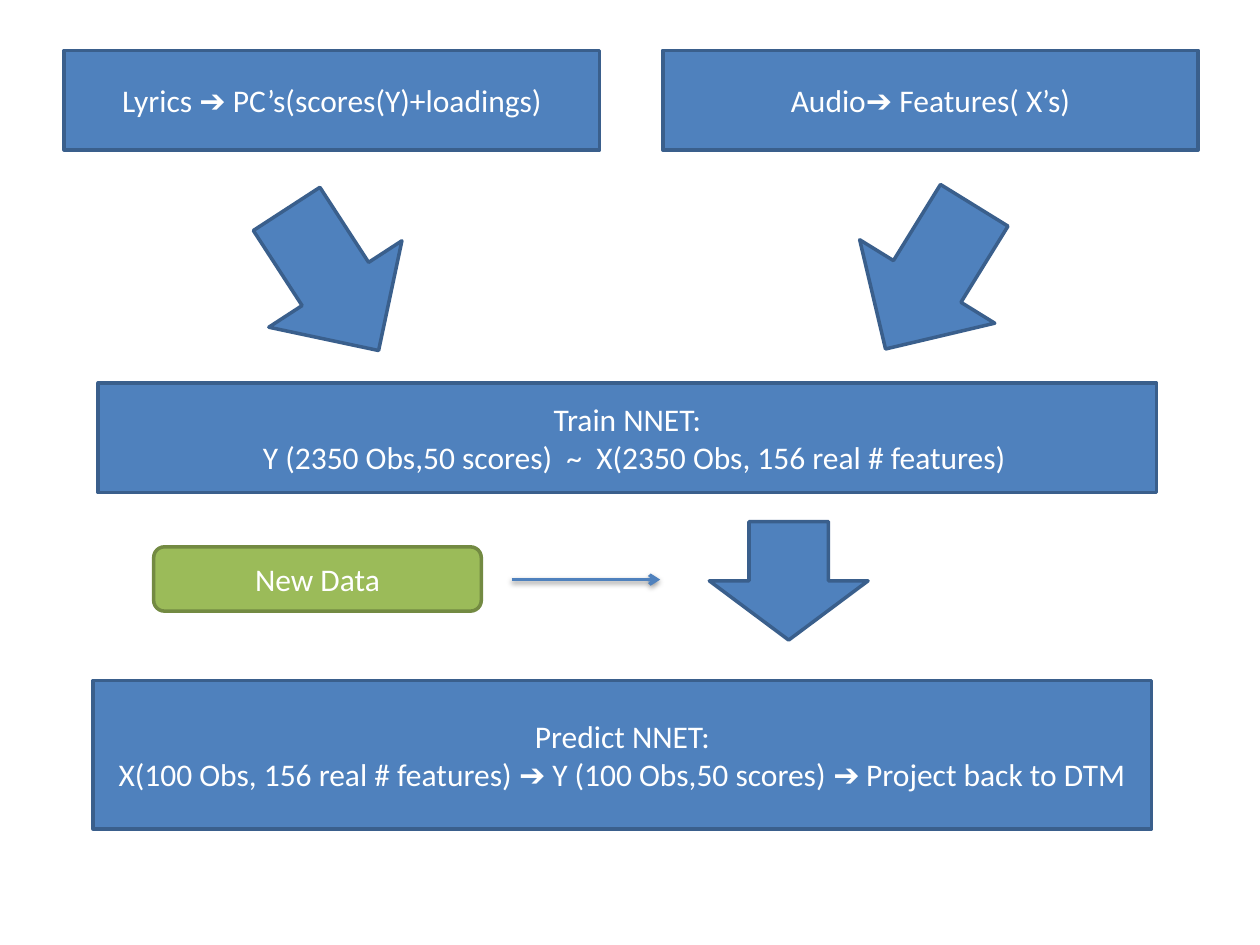
from dataclasses import dataclass

from lxml.etree import SubElement
from pptx import Presentation
from pptx.dml.color import RGBColor
from pptx.enum.shapes import MSO_CONNECTOR, MSO_SHAPE
from pptx.enum.text import MSO_ANCHOR, PP_ALIGN
from pptx.oxml.ns import qn
from pptx.util import Inches, Pt


@dataclass(frozen=True)
class Theme:
    blue: RGBColor = RGBColor(0x4F, 0x81, 0xBD)
    blue_edge: RGBColor = RGBColor(0x3A, 0x5F, 0x8C)
    green: RGBColor = RGBColor(0x9B, 0xBB, 0x59)
    green_edge: RGBColor = RGBColor(0x73, 0x8A, 0x42)
    text: RGBColor = RGBColor(0xFF, 0xFF, 0xFF)
    font: str = "Calibri"
    size: Pt = Pt(18)
    stroke: Pt = Pt(2)


THEME = Theme()


def add_block(slide, preset, box, fill=THEME.blue, edge=THEME.blue_edge):
    block = slide.shapes.add_shape(preset, *map(Inches, box))
    block.shadow.inherit = False
    block.fill.solid()
    block.fill.fore_color.rgb = fill
    block.line.color.rgb = edge
    block.line.width = THEME.stroke
    return block


def add_step(slide, text, box, preset=MSO_SHAPE.RECTANGLE, **colours):
    """Add a labelled box; each line of the text is a paragraph."""
    frame = add_block(slide, preset, box, **colours).text_frame
    frame.word_wrap = True
    frame.vertical_anchor = MSO_ANCHOR.MIDDLE
    frame.text = text
    for paragraph in frame.paragraphs:
        paragraph.alignment = PP_ALIGN.CENTER
        for run in paragraph.runs:
            run.font.name = THEME.font
            run.font.size = THEME.size
            run.font.color.rgb = THEME.text


def add_flow_arrow(slide, box, rotation=0):
    add_block(slide, MSO_SHAPE.DOWN_ARROW, box).rotation = rotation


def add_input_arrow(slide, start_x, end_x, y):
    """Add a thin arrow to the right, with a soft shadow below it."""
    arrow = slide.shapes.add_connector(
        MSO_CONNECTOR.STRAIGHT, Inches(start_x), Inches(y), Inches(end_x), Inches(y))
    arrow.line.color.rgb = THEME.blue
    arrow.line.width = THEME.stroke
    properties = arrow._element.spPr
    SubElement(properties.find(qn("a:ln")), qn("a:tailEnd"), type="arrow")
    effects = SubElement(properties, qn("a:effectLst"))
    shadow = SubElement(
        effects, qn("a:outerShdw"), blurRad=str(Pt(3.1)), dist=str(Pt(1.6)),
        dir="5400000", rotWithShape="0")
    colour = SubElement(shadow, qn("a:srgbClr"), val="000000")
    SubElement(colour, qn("a:alpha"), val="38000")


def main():
    deck = Presentation()
    deck.slide_width, deck.slide_height = Inches(10), Inches(7.5)
    slide = deck.slides.add_slide(deck.slide_layouts[6])

    add_flow_arrow(slide, (2.01, 1.55, 1.26, 1.34), rotation=327)
    add_step(slide, "Lyrics ➔ PC’s(scores(Y)+loadings)", (0.51, 0.4, 4.25, 0.79))
    add_step(slide, "Audio➔ Features( X’s)", (5.26, 0.4, 4.25, 0.79))
    add_flow_arrow(slide, (6.75, 1.53, 1.26, 1.34), rotation=31.7)
    add_step(
        slide,
        "Train NNET:\n  Y (2350 Obs,50 scores)  ~  X(2350 Obs, 156 real # features)",
        (0.78, 3.04, 8.4, 0.87))
    add_flow_arrow(slide, (5.63, 4.14, 1.26, 0.94))
    add_step(
        slide,
        "Predict NNET:\nX(100 Obs, 156 real # features) ➔ Y (100 Obs,50 scores)"
        " ➔ Project back to DTM",
        (0.74, 5.4, 8.4, 1.18))
    add_step(slide, "New Data", (1.22, 4.34, 2.6, 0.51), MSO_SHAPE.ROUNDED_RECTANGLE,
             fill=THEME.green, edge=THEME.green_edge)
    add_input_arrow(slide, 4.06, 5.24, 4.6)

    deck.save("out.pptx")


if __name__ == "__main__":
    main()
